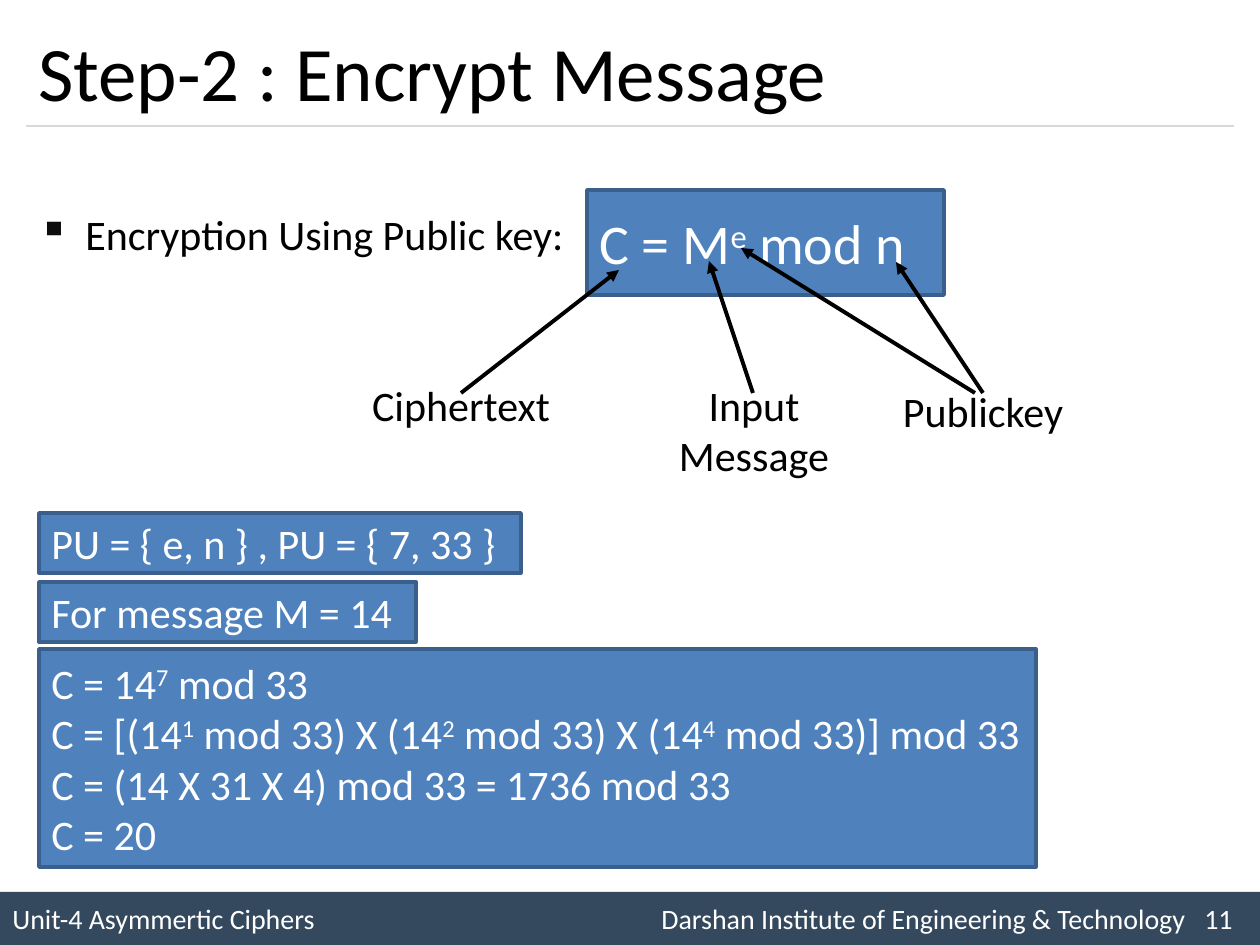
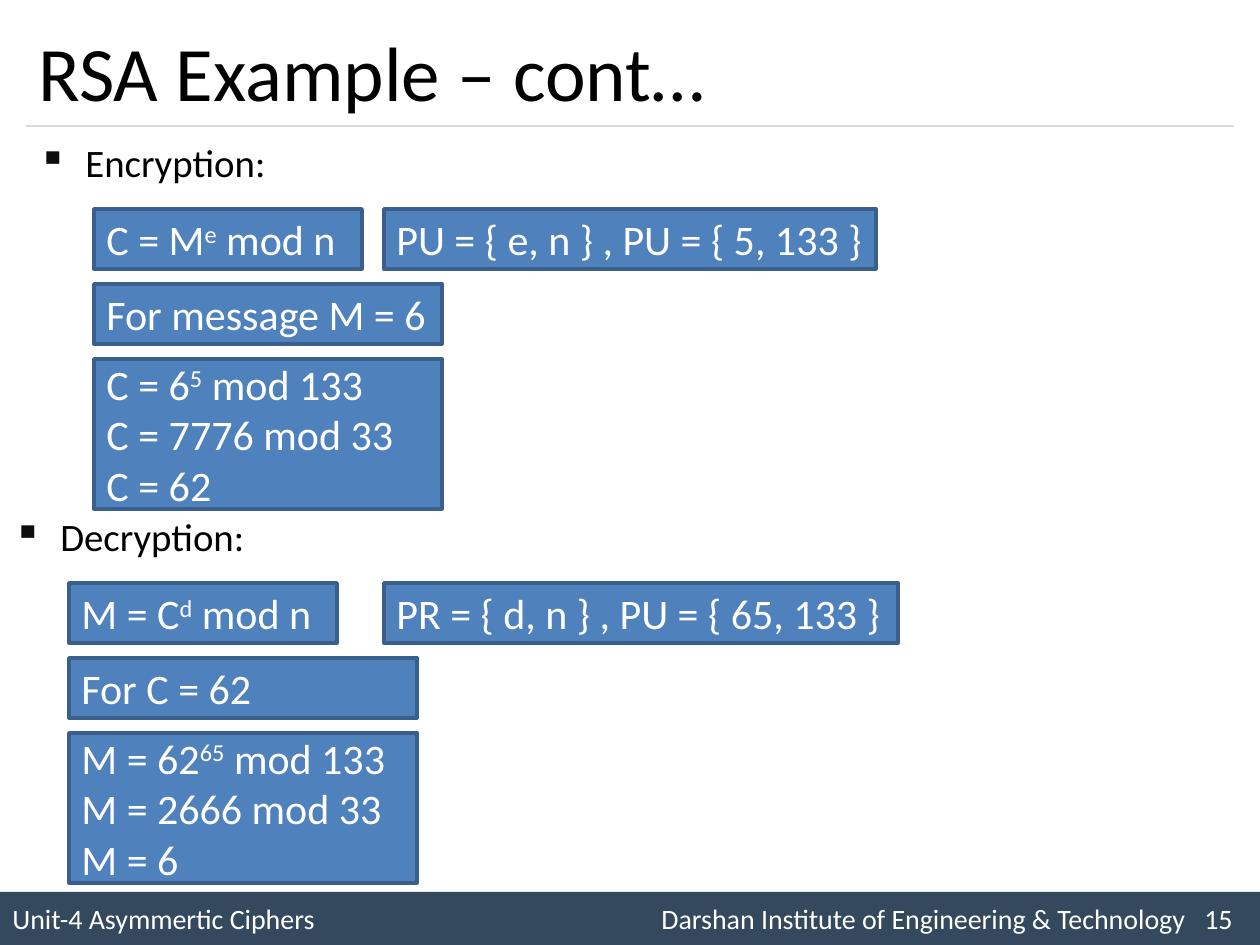
import dataclasses

import lxml.etree
import pptx
import pptx.dml.color
import pptx.enum.shapes
import pptx.enum.text
import pptx.oxml.ns
import pptx.util

MIDDLE = pptx.enum.text.MSO_ANCHOR.MIDDLE
TOP = pptx.enum.text.MSO_ANCHOR.TOP
CENTER = pptx.enum.text.PP_ALIGN.CENTER
LEFT = pptx.enum.text.PP_ALIGN.LEFT


@dataclasses.dataclass(frozen=True)
class Theme:
    font: str = "Calibri"
    ink: str = "000000"
    light: str = "FFFFFF"
    bullet: str = "0D0D0D"
    card: str = "4F81BD"
    card_edge: str = "3A5F8C"
    band: str = "34495E"
    rule: str = "D9D9D9"
    title_size: float = 44
    formula_size: float = 32
    body_size: float = 24
    heading_size: float = 22.2
    footer_size: float = 16


THEME = Theme()
PAGE_WIDTH, PAGE_HEIGHT = 1260, 945
EMU_PER_PX = 914400 / 126

UNIT = "Unit-4 Asymmertic Ciphers"
INSTITUTE = "Darshan Institute of Engineering & Technology"
FOOTER_TABS = (649, 1192)

ENCRYPT = {
    "title": "Step-2 : Encrypt Message",
    "number": 11,
    "lead": "Encryption Using Public key:",
    "formula": "C = M^e^ mod n",
    "labels": [
        ("Ciphertext", 357, 373, 63),
        ("Input Message", 650, 373, 115),
        ("Publickey", 879, 379, 63),
    ],
    "arrows": [
        ((461, 393), (619, 270)),
        ((753, 393), (709, 261)),
        ((975, 393), (741, 248)),
        ((983, 393), (896, 262)),
    ],
    "cards": [
        (["PU = { e, n } , PU = { 7, 33 }"], 513, 482, 60),
        (["For message M = 14"], 582, 377, 60),
        ([
            "C = 14^7^ mod 33",
            "C = [(14^1^ mod 33) X (14^2^ mod 33) X (14^4^ mod 33)] mod 33",
            "C = (14 X 31 X 4) mod 33 = 1736 mod 33",
            "C = 20",
        ], 649, 997, 218),
    ],
}

EXAMPLE = {
    "title": "RSA Example – cont…",
    "number": 15,
    "sections": [
        {
            "heading": "Encryption:", "left": 26, "top": 136,
            "formula": "C = M^e^ mod n",
            "key": "PU = { e, n } , PU = { 5, 133 }", "key_width": 492,
            "given": "For message M = 6",
            "working": ["C = 6^5^ mod 133", "C = 7776 mod 33", "C = 62"],
        },
        {
            "heading": "Decryption:", "left": 1, "top": 510,
            "formula": "M = C^d^ mod n",
            "key": "PR = { d, n } , PU = { 65, 133 }", "key_width": 514,
            "given": "For C = 62",
            "working": ["M = 62^65^ mod 133", "M = 2666 mod 33", "M = 6"],
        },
    ],
}


def px(length):
    return pptx.util.Emu(round(length * EMU_PER_PX))


def rgb(value):
    return pptx.dml.color.RGBColor.from_string(value)


def add_child(parent, tag, **attributes):
    child = lxml.etree.SubElement(parent, pptx.oxml.ns.qn(tag))
    for name, value in attributes.items():
        child.set(name, str(value))
    return child


def write_text(box, lines, size=THEME.body_size, color=THEME.ink, anchor=TOP,
               align=LEFT, bullet=False, spacing=None, tabs=()):
    frame = box.text_frame
    frame.word_wrap = True
    frame.vertical_anchor = anchor
    for index, line in enumerate(lines):
        para = frame.paragraphs[0] if index == 0 else frame.add_paragraph()
        properties = para._p.get_or_add_pPr()
        if bullet:
            properties.set("marL", str(px(47)))
            properties.set("indent", str(px(-47)))
            add_child(add_child(properties, "a:buClr"), "a:srgbClr", val=THEME.bullet)
            add_child(properties, "a:buChar", char="▪")
        if tabs:
            stops = add_child(properties, "a:tabLst")
            for stop in tabs:
                add_child(stops, "a:tab", pos=px(stop), algn="l")
        para.alignment = align
        if spacing:
            para.line_spacing = spacing
        for position, piece in enumerate(line.split("^")):
            span = para.add_run()
            span.text = piece
            span.font.name = THEME.font
            span.font.size = pptx.util.Pt(size)
            span.font.color.rgb = rgb(color)
            if position % 2:
                span.font._element.set("baseline", "30000")


def add_text(page, lines, left, top, width, height, **text_format):
    box = page.shapes.add_textbox(px(left), px(top), px(width), px(height))
    write_text(box, lines, **text_format)


def add_panel(page, lines, left, top, width, height, fill=THEME.card,
              edge=THEME.card_edge, **text_format):
    box = page.shapes.add_shape(pptx.enum.shapes.MSO_SHAPE.RECTANGLE,
                                px(left), px(top), px(width), px(height))
    box.shadow.inherit = False
    box.fill.solid()
    box.fill.fore_color.rgb = rgb(fill)
    if edge:
        box.line.color.rgb = rgb(edge)
        box.line.width = pptx.util.Pt(2)
    else:
        box.line.fill.background()
    write_text(box, lines, color=THEME.light, anchor=MIDDLE, **text_format)


def add_line(page, start, end, color=THEME.ink, weight=2.25, arrow=True):
    line = page.shapes.add_connector(pptx.enum.shapes.MSO_CONNECTOR.STRAIGHT,
                                     *map(px, start + end))
    line.line.color.rgb = rgb(color)
    line.line.width = pptx.util.Pt(weight)
    if arrow:
        add_child(line.line._get_or_add_ln(), "a:tailEnd", type="triangle")
    add_child(line._element.spPr, "a:effectLst")


def add_page(deck, content):
    page = deck.slides.add_slide(deck.slide_layouts[6])
    footer = f"{UNIT}\t{INSTITUTE}\t{content['number']}"
    add_panel(page, [footer], 0, 892, PAGE_WIDTH, 53, fill=THEME.band, edge=None,
              size=THEME.footer_size, tabs=FOOTER_TABS)
    add_line(page, (26, 126), (1234, 126), color=THEME.rule, weight=0.75, arrow=False)
    add_text(page, [content["title"]], 26, 15, 1207, 111,
             size=THEME.title_size, anchor=MIDDLE)
    return page


def build_encrypt(deck):
    page = add_page(deck, ENCRYPT)
    add_text(page, [ENCRYPT["lead"]], 26, 202, 1207, 63, bullet=True)
    add_panel(page, [ENCRYPT["formula"]], 587, 190, 357, 105, size=THEME.formula_size)
    for label, left, top, height in ENCRYPT["labels"]:
        add_text(page, [label], left, top, 208, height, align=CENTER)
    for start, end in ENCRYPT["arrows"]:
        add_line(page, start, end)
    for lines, top, width, height in ENCRYPT["cards"]:
        add_panel(page, lines, 39, top, width, height)


def build_example(deck):
    page = add_page(deck, EXAMPLE)
    for section in EXAMPLE["sections"]:
        left, top = section["left"], section["top"]
        add_text(page, [section["heading"]], left, top, 1207, 60,
                 size=THEME.heading_size, bullet=True, spacing=0.94)
        card_left, card_top, step = left + 68, top + 73, 75
        add_panel(page, [section["formula"]], card_left, card_top, 268, 60)
        add_panel(page, [section["key"]], 384, card_top, section["key_width"], 60)
        add_panel(page, [section["given"]], card_left, card_top + step, 348, 60)
        add_panel(page, section["working"], card_left, card_top + 2 * step, 348, 150)


def main():
    deck = pptx.Presentation()
    deck.slide_width, deck.slide_height = px(PAGE_WIDTH), px(PAGE_HEIGHT)
    build_encrypt(deck)
    build_example(deck)
    deck.save("out.pptx")


if __name__ == "__main__":
    main()
